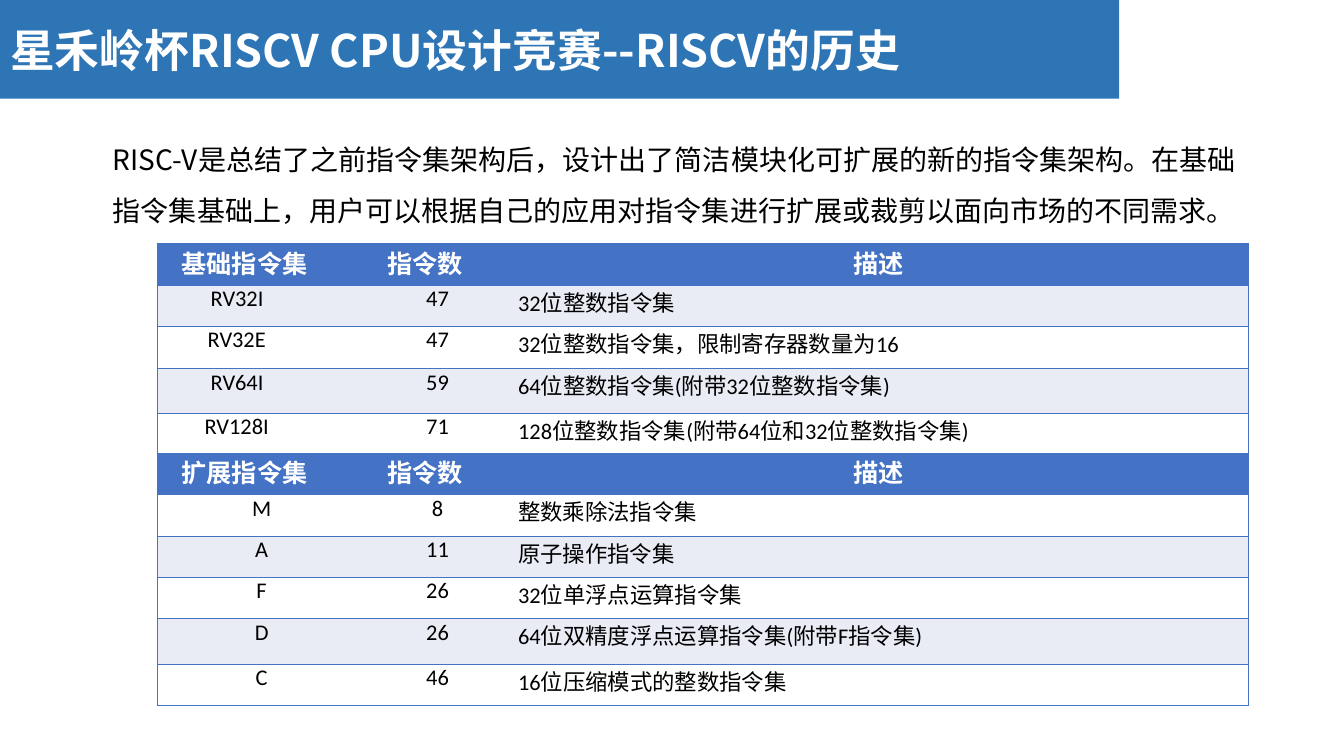
from dataclasses import dataclass

from lxml.etree import SubElement
from pptx import Presentation
from pptx.dml.color import RGBColor as Rgb
from pptx.enum.text import MSO_ANCHOR as Anchor, MSO_AUTO_SIZE as Fit, PP_ALIGN as Align
from pptx.oxml import parse_xml
from pptx.oxml.ns import nsdecls, qn
from pptx.util import Inches, Pt


@dataclass(frozen=True)
class Theme:
    bar: str = "2E75B6"
    head: str = "4472C4"
    band: str = "E9EBF5"
    white: str = "FFFFFF"
    black: str = "000000"
    sans: str = "Noto Sans CJK SC"
    grid: str = "Calibri"
    title: int = 32
    body: int = 20
    top: int = 18
    cell: int = 16


THEME = Theme()
TITLE = "星禾岭杯RISCV CPU设计竞赛--RISCV的历史"
INTRO = (
    "RISC-V是总结了之前指令集架构后，设计出了简洁模块化可扩展的新的指令集架构。"
    "在基础指令集基础上，用户可以根据自己的应用对指令集进行扩展或裁剪以面向市场的不同需求。"
)
BASE = [
    ("基础指令集", "指令数", "描述"),
    ("RV32I", "47", "32位整数指令集"),
    ("RV32E", "47", "32位整数指令集，限制寄存器数量为16"),
    ("RV64I", "59", "64位整数指令集(附带32位整数指令集)"),
    ("RV128I", "71", "128位整数指令集(附带64位和32位整数指令集)"),
]
EXTRA = [
    ("扩展指令集", "指令数", "描述"),
    ("M", "8", "整数乘除法指令集"),
    ("A", "11", "原子操作指令集"),
    ("F", "26", "32位单浮点运算指令集"),
    ("D", "26", "64位双精度浮点运算指令集(附带F指令集)"),
    ("C", "46", "16位压缩模式的整数指令集"),
]
ROWS = BASE + EXTRA
HEADS = (0, len(BASE))
WIDTHS = (2.07, 1.42, 7.33)
HEIGHTS = (0.41, 0.41, 0.42, 0.44, 0.4, 0.41, 0.41, 0.41, 0.41, 0.45, 0.41)
INDENTS = {"RV32I": 0.53, "RV32E": 0.5, "RV64I": 0.53, "RV128I": 0.47}


def paint(shape, color):
    shape.fill.solid()
    shape.fill.fore_color.rgb = Rgb.from_string(color)


def style(para, face, size, color, bold=False):
    for run in para.runs:
        font = run.font
        font.name, font.size, font.bold = face, Pt(size), bold
        font.color.rgb = Rgb.from_string(color)
        east = SubElement(run._r.get_or_add_rPr(), qn("a:ea"))
        east.set("typeface", THEME.sans)


def shift(para, space):
    para._p.get_or_add_pPr().set("marL", str(Inches(space)))


def place(shape, left, top, width, height):
    shape.left, shape.top = Inches(left), Inches(top)
    shape.width, shape.height = Inches(width), Inches(height)


def clear(box):
    box.margin_left = box.margin_right = 0
    box.margin_top = box.margin_bottom = 0


def add_title(slide):
    bar = slide.shapes.title
    place(bar, 0, 0, 11.1, 0.98)
    paint(bar, THEME.bar)
    frame = bar.text_frame
    frame.text = TITLE
    frame.auto_size = Fit.NONE
    frame.vertical_anchor = Anchor.MIDDLE
    para = frame.paragraphs[0]
    para.alignment = Align.LEFT
    style(para, THEME.sans, THEME.title, THEME.white, True)


def add_intro(slide):
    box = slide.shapes.add_textbox(Inches(1.11), Inches(1.25), Inches(11.41), Inches(0.95))
    frame = box.text_frame
    frame.word_wrap = True
    clear(frame)
    frame.text = INTRO
    para = frame.paragraphs[0]
    shift(para, 0.01)
    para.line_spacing = 1.5
    style(para, THEME.sans, THEME.body, THEME.black)


def add_edges(cell, col):
    shown = {"L": col == 0, "R": col == len(WIDTHS) - 1, "T": True, "B": True}
    for spot, (side, on) in enumerate(shown.items()):
        fill = f'<a:solidFill><a:srgbClr val="{THEME.head}"/></a:solidFill>' if on else "<a:noFill/>"
        line = parse_xml(f'<a:ln{side} {nsdecls("a")} w="{Pt(1)}">{fill}</a:ln{side}>')
        cell._tc.get_or_add_tcPr().insert(spot, line)


def indent(text, col, head):
    if head:
        return (0.24, 0.21, 0)[col]
    return 0.09 if col == 2 else INDENTS.get(text, 0)


def fill_cell(cell, text, row, col):
    head = row in HEADS
    clear(cell)
    cell.text = text
    para = cell.text_frame.paragraphs[0]
    space = indent(text, col, head)
    if space:
        shift(para, space)
    para.alignment = Align.LEFT if space else Align.CENTER
    if head:
        style(para, THEME.grid, THEME.top, THEME.white, True)
        paint(cell, THEME.head)
    else:
        style(para, THEME.grid, THEME.cell, THEME.black)
        paint(cell, THEME.band if row % 2 else THEME.white)
    add_edges(cell, col)


def add_grid(slide):
    frame = slide.shapes.add_table(
        len(ROWS), len(WIDTHS), Inches(1.56), Inches(2.42),
        Inches(sum(WIDTHS)), Inches(sum(HEIGHTS)),
    )
    table = frame.table
    table.first_row = table.horz_banding = False
    for col, width in zip(table.columns, WIDTHS):
        col.width = Inches(width)
    for line, height in zip(table.rows, HEIGHTS):
        line.height = Inches(height)
    for row, texts in enumerate(ROWS):
        for col, text in enumerate(texts):
            fill_cell(table.cell(row, col), text, row, col)


def main():
    deck = Presentation()
    deck.slide_width, deck.slide_height = Inches(13.33), Inches(7.5)
    slide = deck.slides.add_slide(deck.slide_layouts[5])
    add_title(slide)
    add_intro(slide)
    add_grid(slide)
    deck.save("out.pptx")


if __name__ == "__main__":
    main()
